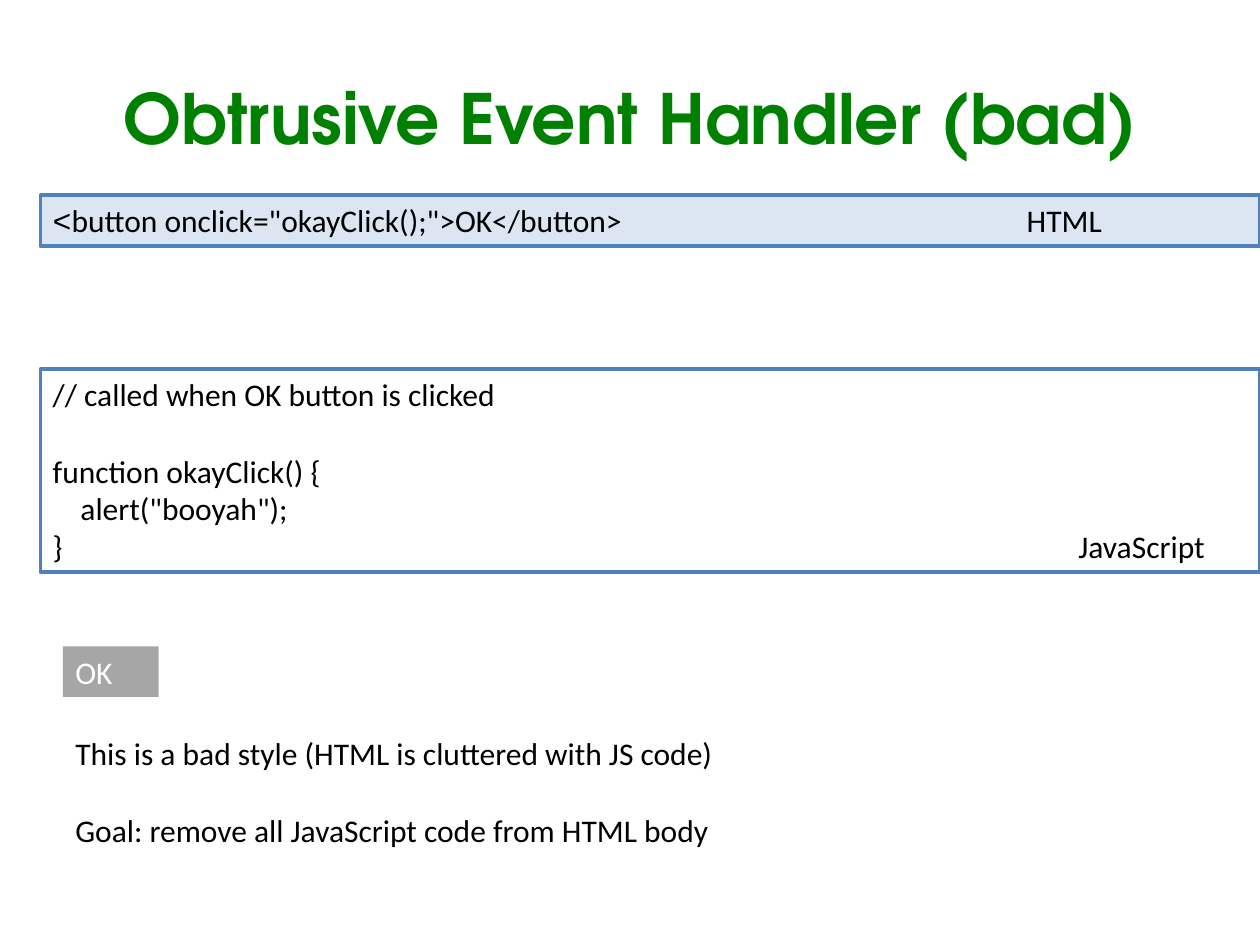
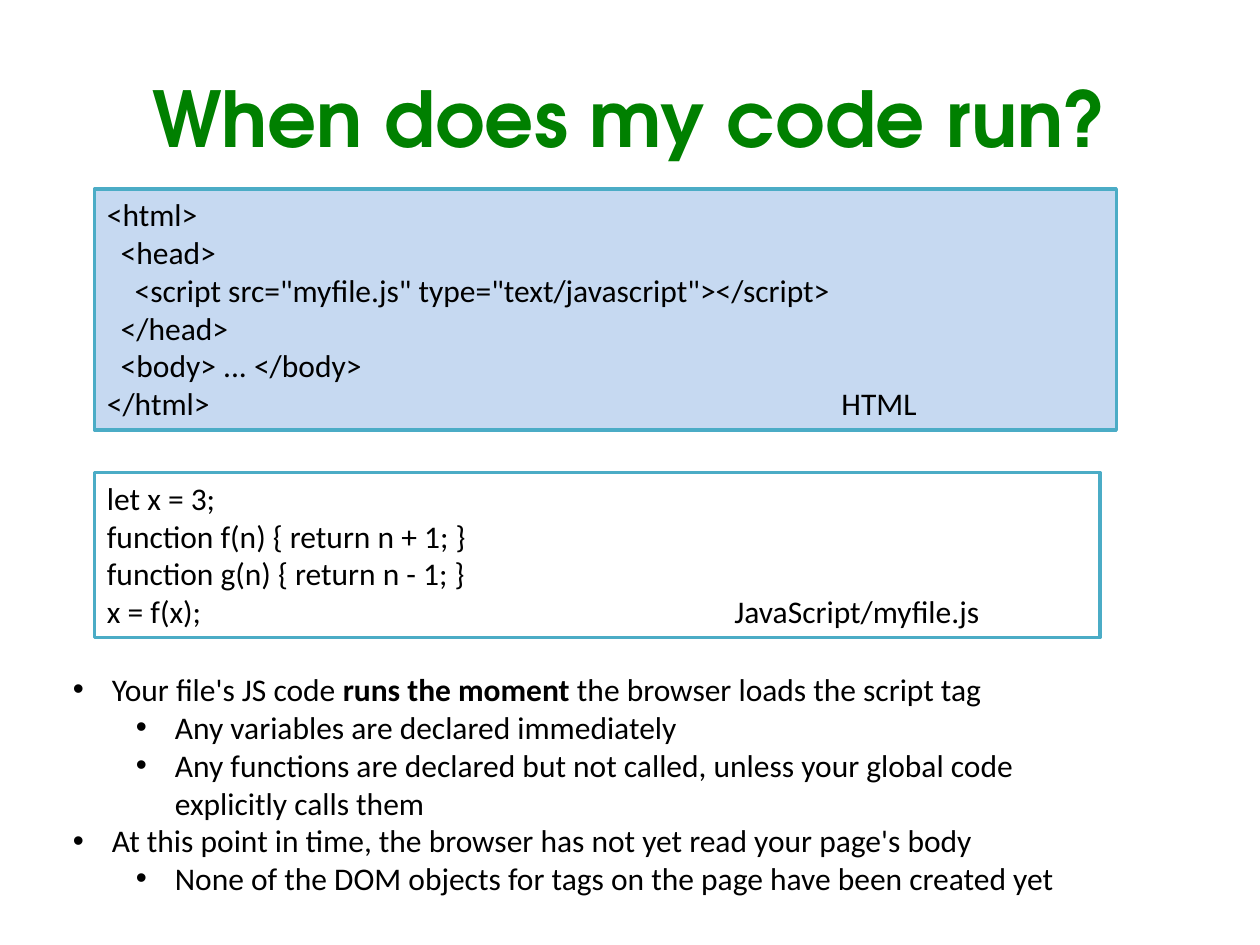
from lxml import etree
from pptx import Presentation, util as u
from pptx.dml.color import RGBColor
from pptx.enum import shapes, text
from pptx.oxml import ns

GREEN = RGBColor(0x00, 0x80, 0x00)
BLACK = RGBColor(0x00, 0x00, 0x00)
WHITE = RGBColor(0xFF, 0xFF, 0xFF)
GRAY = RGBColor(0xA6, 0xA6, 0xA6)
PALE_BLUE = RGBColor(0xDC, 0xE6, 0xF2)
SOFT_BLUE = RGBColor(0xC6, 0xD9, 0xF1)
BLUE = RGBColor(0x4F, 0x81, 0xBD)
TEAL = RGBColor(0x4B, 0xAC, 0xC6)

WIDTH, HEIGHT = 10, 7.5
TITLE_AREA = (0.5, 0.3, 9, 1.25)
TITLE_FORMAT = {"name": "TeX Gyre Adventor", "bold": True}
BODY_FORMAT = {"name": "Calibri", "size": u.Pt(18)}
LINE_HEIGHT = 18 * 1.21 / 72
BOX_PADDING = 0.1
BLANK_LINE = u.Pt(22)
CODE_INDENT = 0.11
BULLET_HANG = 0.31
BULLET_STEP = 0.5

SLIDES = [
    {
        "title": "Obtrusive Event Handler (bad)",
        "title_size": 39.6,
        "boxes": [
            {"place": (0.32, 1.55, 9.68), "lines": 1, "fill": PALE_BLUE, "line": BLUE, "tab": 7.73,
             "paragraphs": [
                 {"runs": [("<", {"name": "Courier New"}),
                           ('button onclick="okayClick();">OK</button>\tHTML', {})]}]},
            {"place": (0.32, 2.93, 9.68), "lines": 5, "line": BLUE, "tab": 8.14,
             "paragraphs": [
                 "// called when OK button is clicked",
                 {"runs": [("function okayClick() {", {})], "gap": True},
                 {"runs": [('alert("booyah");', {})], "indent": 2},
                 "}\tJavaScript"]},
            {"place": (0.5, 5.13, 0.76), "lines": 1, "fill": GRAY, "color": WHITE,
             "paragraphs": ["OK"]},
            {"place": (0.5, 5.78, 8.56), "lines": 3,
             "paragraphs": [
                 "This is a bad style (HTML is cluttered with JS code)",
                 {"runs": [("Goal: remove all JavaScript code from HTML body", {})], "gap": True}]},
        ],
    },
    {
        "title": "When does my code run?",
        "title_size": 44,
        "boxes": [
            {"place": (0.75, 1.5, 8.11), "lines": 6, "fill": SOFT_BLUE, "line": TEAL, "tab": 5.83,
             "paragraphs": [
                 "<html>",
                 {"runs": [("<head>", {})], "indent": 1},
                 {"runs": [('<script src="myfile.js" type="text/javascript"></script>', {})], "indent": 2},
                 {"runs": [("</head>", {})], "indent": 1},
                 {"runs": [("<body> ... </body>", {})], "indent": 1},
                 "</html>\tHTML"]},
            {"place": (0.75, 3.75, 7.98), "lines": 4, "fill": WHITE, "line": TEAL, "tab": 4.98,
             "paragraphs": [
                 "let x = 3;",
                 "function f(n) { return n + 1; }",
                 "function g(n) { return n - 1; }",
                 "x = f(x);\tJavaScript/myfile.js"]},
            {"place": (0.48, 5.27, 8.25), "lines": 6,
             "paragraphs": [
                 {"runs": [("Your file's JS code ", {}), ("runs the moment ", {"bold": True}),
                           ("the browser loads the script tag", {})], "level": 0},
                 {"runs": [("Any variables are declared immediately", {})], "level": 1},
                 {"runs": [("Any functions are declared but not called, unless your global code "
                            "explicitly calls them", {})], "level": 1},
                 {"runs": [("At this point in time, the browser has not yet read your page's body", {})],
                  "level": 0},
                 {"runs": [("None of the DOM objects for tags on the page have been created yet", {})],
                  "level": 1}]},
        ],
    },
]


def apply_format(target, values):
    for name, value in values.items():
        setattr(target, name, value)


def add_title(slide, content):
    title = slide.shapes.title
    sides = ("left", "top", "width", "height")
    apply_format(title, dict(zip(sides, map(u.Inches, TITLE_AREA))))
    frame = title.text_frame
    frame.text = content["title"]
    apply_format(frame, {"auto_size": text.MSO_AUTO_SIZE.NONE, "word_wrap": True,
                         "vertical_anchor": text.MSO_ANCHOR.MIDDLE})
    paragraph = frame.paragraphs[0]
    paragraph.alignment = text.PP_ALIGN.CENTER
    font = paragraph.runs[0].font
    apply_format(font, TITLE_FORMAT | {"size": u.Pt(content["title_size"])})
    font.color.rgb = GREEN


def set_margins(paragraph, margin, hanging=0):
    properties = paragraph._p.get_or_add_pPr()
    properties.set("marL", str(u.Inches(margin)))
    properties.set("indent", str(u.Inches(-hanging)))
    return properties


def add_bullet(paragraph, level):
    paragraph.level = level
    properties = set_margins(paragraph, BULLET_HANG + level * BULLET_STEP, BULLET_HANG)
    etree.SubElement(properties, ns.qn("a:buFont"), typeface="Arial")
    etree.SubElement(properties, ns.qn("a:buChar"), char="•")


def add_tab_stop(paragraph, position):
    tabs = etree.SubElement(paragraph._p.get_or_add_pPr(), ns.qn("a:tabLst"))
    etree.SubElement(tabs, ns.qn("a:tab"), pos=str(u.Inches(position)), algn="l")


def fill_paragraph(paragraph, content, box):
    if isinstance(content, str):
        content = {"runs": [(content, {})]}
    paragraph.alignment = text.PP_ALIGN.LEFT
    if content.get("gap"):
        paragraph.space_before = BLANK_LINE
    if "indent" in content:
        set_margins(paragraph, content["indent"] * CODE_INDENT)
    if "level" in content:
        add_bullet(paragraph, content["level"])
    for words, changes in content["runs"]:
        if "\t" in words:
            add_tab_stop(paragraph, box["tab"])
        run = paragraph.add_run()
        run.text = words
        apply_format(run.font, BODY_FORMAT | changes)
        run.font.color.rgb = box.get("color", BLACK)


def add_box(slide, box):
    left, top, width = box["place"]
    area = [u.Inches(length) for length in
            (left, top, width, box["lines"] * LINE_HEIGHT + BOX_PADDING)]
    if "fill" in box or "line" in box:
        shape = slide.shapes.add_shape(shapes.MSO_SHAPE.RECTANGLE, *area)
        shape.shadow.inherit = False
    else:
        shape = slide.shapes.add_textbox(*area)
    if "fill" in box:
        shape.fill.solid()
        shape.fill.fore_color.rgb = box["fill"]
    else:
        shape.fill.background()
    if "line" in box:
        shape.line.color.rgb = box["line"]
        shape.line.width = u.Pt(2)
    else:
        shape.line.fill.background()
    frame = shape.text_frame
    apply_format(frame, {"word_wrap": True, "vertical_anchor": text.MSO_ANCHOR.TOP})
    for index, content in enumerate(box["paragraphs"]):
        paragraph = frame.add_paragraph() if index else frame.paragraphs[0]
        fill_paragraph(paragraph, content, box)


def main():
    presentation = Presentation()
    presentation.slide_width = u.Inches(WIDTH)
    presentation.slide_height = u.Inches(HEIGHT)
    for content in SLIDES:
        slide = presentation.slides.add_slide(presentation.slide_layouts[5])
        add_title(slide, content)
        for box in content["boxes"]:
            add_box(slide, box)
    presentation.save("out.pptx")


if __name__ == "__main__":
    main()
